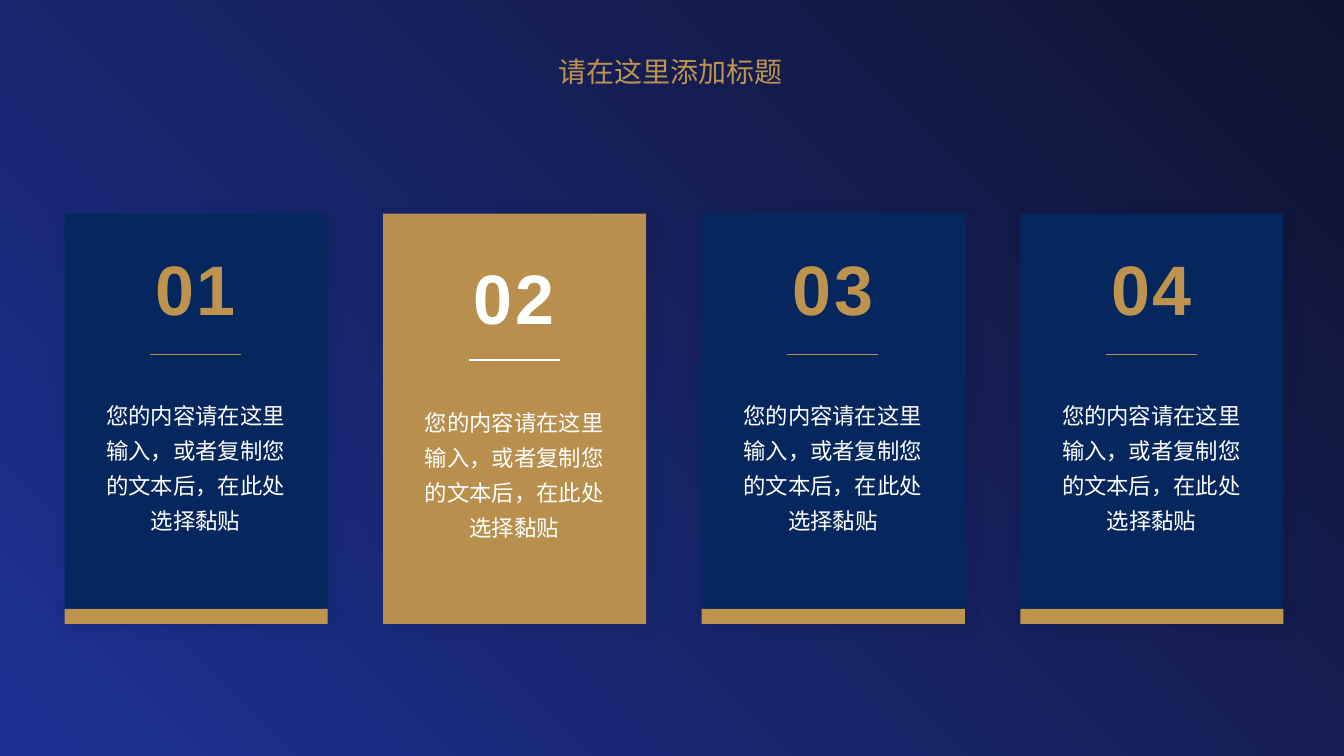
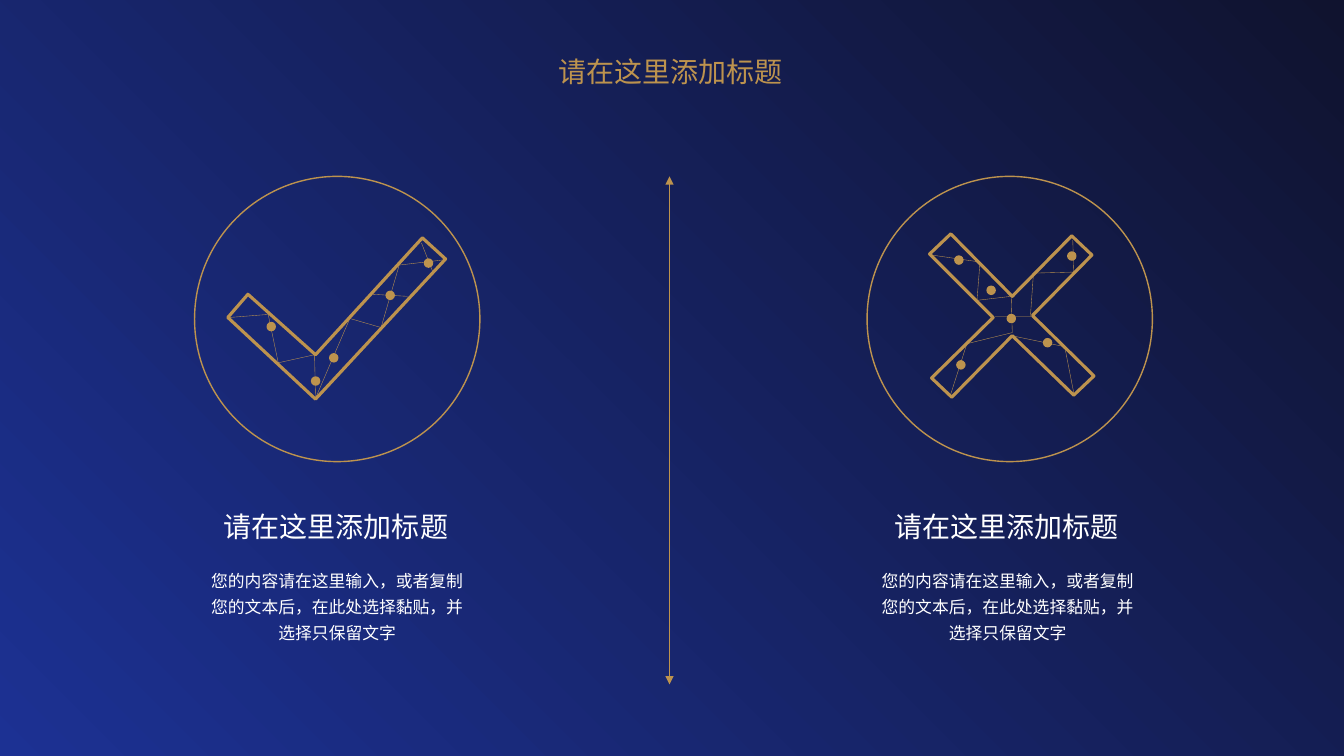
"""Build two navy and gold slides: numbered cards and a tick-and-cross comparison."""
import lxml.etree
import pptx
import pptx.dml.color
import pptx.enum.shapes
import pptx.enum.text
import pptx.oxml.ns
import pptx.util

Inches = pptx.util.Inches
Pt = pptx.util.Pt
qn = pptx.oxml.ns.qn
SHAPE = pptx.enum.shapes.MSO_SHAPE


class Theme:
    gradient = [pptx.dml.color.RGBColor.from_string(code) for code in ("1C3193", "10132F")]
    navy = pptx.dml.color.RGBColor.from_string("06275E")
    gold = pptx.dml.color.RGBColor.from_string("BD934E")
    bronze = pptx.dml.color.RGBColor.from_string("B88F4D")
    white = pptx.dml.color.RGBColor.from_string("FFFFFF")
    latin = "Arial"
    chinese = "Noto Sans CJK SC"
    heading, number, card_body, panel_body = Pt(20), Pt(50), Pt(16), Pt(12)
    hairline, thin, medium, bold = Pt(0.25), Pt(0.5), Pt(1), Pt(2.25)


def add_text(shapes, place, text, size, color, font=Theme.latin, wrap=True, spacing=1.0):
    box = shapes.add_textbox(*map(Inches, place))
    frame = box.text_frame
    frame.text = text
    frame.word_wrap = wrap
    frame.auto_size = pptx.enum.text.MSO_AUTO_SIZE.SHAPE_TO_FIT_TEXT
    para = frame.paragraphs[0]
    if wrap:
        para.alignment = pptx.enum.text.PP_ALIGN.CENTER
    para.line_spacing = spacing
    span = para.runs[0]
    span.font.size = size
    span.font.color.rgb = color
    span.font.name = font
    lxml.etree.SubElement(span.font._element, qn("a:ea"), typeface=Theme.chinese)
    return box


def add_line(shapes, start, end, color, width, arrows=False):
    line = shapes.add_connector(
        pptx.enum.shapes.MSO_CONNECTOR.STRAIGHT, *map(Inches, (*start, *end)))
    line.line.color.rgb = color
    line.line.width = width
    properties = line.element.spPr
    if arrows:
        for tag in ("a:headEnd", "a:tailEnd"):
            lxml.etree.SubElement(properties.find(qn("a:ln")), qn(tag), type="triangle")
    lxml.etree.SubElement(properties, qn("a:effectLst"))


deck = pptx.Presentation()
deck.slide_width, deck.slide_height = Inches(13.33), Inches(7.5)
backdrop = deck.slide_master.background.fill
backdrop.gradient()
backdrop.gradient_angle = 45
for stop, color in zip(backdrop.gradient_stops, Theme.gradient):
    stop.color.rgb = color

heading_text = "请在这里添加标题"
pages = [deck.slides.add_slide(deck.slide_layouts[6]) for _ in range(2)]
for page in pages:
    add_text(page.shapes, (5.44, 0.49, 2.45, 0.44), heading_text,
             Theme.heading, Theme.gold, wrap=False)
cards_page, compare_page = pages

card_text = "您的内容请在这里输入，或者复制您的文本后，在此处选择黏贴"
card_top, card_width, card_height, band_height = 2.12, 2.61, 4.07, 0.15
for index in range(4):
    left = 0.64 + index * 3.16
    highlighted = index == 1
    accent = Theme.white if highlighted else Theme.gold
    rule_color = Theme.white if highlighted else Theme.bronze
    rule_top = 3.57 if highlighted else 3.52
    if highlighted:
        blocks = [(card_top, card_height, Theme.bronze)]
    else:
        band_top = card_top + card_height - band_height
        blocks = [(card_top, card_height - band_height, Theme.navy),
                  (band_top, band_height, Theme.gold)]

    card = cards_page.shapes.add_group_shape().shapes
    for top, height, color in blocks:
        block = card.add_shape(
            SHAPE.RECTANGLE, *map(Inches, (left, top, card_width, height)))
        block.fill.solid()
        block.fill.fore_color.rgb = color
        block.line.fill.background()
        block.shadow.inherit = False
        shadow = lxml.etree.SubElement(
            block.element.spPr.find(qn("a:effectLst")), qn("a:outerShdw"),
            blurRad=str(Pt(12)), dist=str(Pt(3)), dir="2700000", algn="tl", rotWithShape="0")
        shade = lxml.etree.SubElement(shadow, qn("a:srgbClr"), val="000000")
        lxml.etree.SubElement(shade, qn("a:alpha"), val="8000")

    add_text(card, (left + 0.3, 3.93 if highlighted else 3.86, 2, 1.47), card_text,
             Theme.card_body, Theme.white, Theme.chinese, spacing=1.3)
    number_place = (2.47, 1.08, 0.94) if highlighted else (2.46, 1.08, 0.9)
    number = add_text(card, (left + 0.76, *number_place), f"{index + 1:02}",
                      Theme.number, accent, spacing=1.0 if highlighted else 0.9)
    number.text_frame.auto_size = pptx.enum.text.MSO_AUTO_SIZE.NONE
    number.text_frame.vertical_anchor = pptx.enum.text.MSO_ANCHOR.MIDDLE
    number_font = number.text_frame.paragraphs[0].runs[0].font
    number_font.bold = True
    number_font._element.set("spc", "200")
    add_line(card, (left + 0.85, rule_top), (left + 1.75, rule_top),
             rule_color, Theme.medium)

add_line(compare_page.shapes, (6.64, 1.75), (6.64, 6.79), Theme.gold, Theme.thin, arrows=True)

panel_text = "您的内容请在这里输入，或者复制您的文本后，在此处选择黏贴，并选择只保留文字"
cross = {
    "circle_left": 8.6,
    "text_left": 8.61,
    "outline": [(9.22, 2.52), (9.43, 2.32), (10.04, 2.94), (10.63, 2.34), (10.83, 2.53),
                (10.24, 3.13), (10.85, 3.73), (10.65, 3.92), (10.04, 3.33), (9.44, 3.94),
                (9.24, 3.75), (9.85, 3.15)],
    "threads": [
        [(9.24, 2.53), (9.72, 2.6), (9.69, 2.98), (10.03, 2.94), (10.04, 3.3),
         (9.59, 3.41), (9.43, 3.91)],
        [(9.87, 3.14), (10.22, 3.14), (10.25, 2.71), (10.65, 2.7), (10.64, 2.38)],
        [(10.65, 3.9), (10.56, 3.44), (10.03, 3.33)]],
    "links": [],
    "dots": [(9.99, 3.12), (10.35, 3.36), (10.59, 2.5), (9.47, 2.54), (9.49, 3.58),
             (9.79, 2.84)],
}
tick = {
    "circle_left": 1.93,
    "text_left": 1.96,
    "outline": [(2.26, 3.15), (2.46, 2.92), (3.13, 3.52), (4.19, 2.36), (4.42, 2.57),
                (3.13, 3.96)],
    "threads": [
        [(2.28, 3.15), (2.66, 3.12), (2.76, 3.6), (3.12, 3.52), (3.13, 3.95),
         (3.47, 3.16), (3.78, 3.25), (3.96, 2.63), (4.39, 2.58)]],
    "links": [((4.04, 2.94), (3.7, 2.92)), ((4.18, 2.41), (4.29, 2.69))],
    "dots": [(3.83, 2.89), (3.27, 3.51), (2.65, 3.2), (3.09, 3.74), (4.21, 2.57)],
}
for mark in (cross, tick):
    panel = compare_page.shapes.add_group_shape().shapes

    paths = [(mark["outline"], True, Theme.bold)]
    paths += [(thread, False, Theme.hairline) for thread in mark["threads"]]
    for points, closed, width in paths:
        corners = [(Inches(across), Inches(down)) for across, down in points]
        builder = panel.build_freeform(*corners[0])
        builder.add_line_segments(corners[1:], close=closed)
        path = builder.convert_to_shape()
        path.fill.background()
        path.line.color.rgb = Theme.gold
        path.line.width = width
        path.shadow.inherit = False
    for start, end in mark["links"]:
        add_line(panel, start, end, Theme.gold, Theme.hairline)

    rounds = [(mark["circle_left"], 1.75, 2.83, False)]
    rounds += [(left, top, 0.08, True) for left, top in mark["dots"]]
    for left, top, size, filled in rounds:
        circle = panel.add_shape(SHAPE.OVAL, *map(Inches, (left, top, size, size)))
        if filled:
            circle.fill.solid()
            circle.fill.fore_color.rgb = Theme.gold
        else:
            circle.fill.background()
        circle.line.color.rgb = Theme.gold
        circle.line.width = Theme.medium
        circle.shadow.inherit = False

    add_text(panel, (mark["text_left"], 5.55, 2.77, 0.86), panel_text,
             Theme.panel_body, Theme.white, Theme.chinese, spacing=1.3)
    add_text(panel, (mark["text_left"] + 0.16, 5.01, 2.45, 0.44), heading_text,
             Theme.heading, Theme.white, wrap=False)

deck.save("out.pptx")
